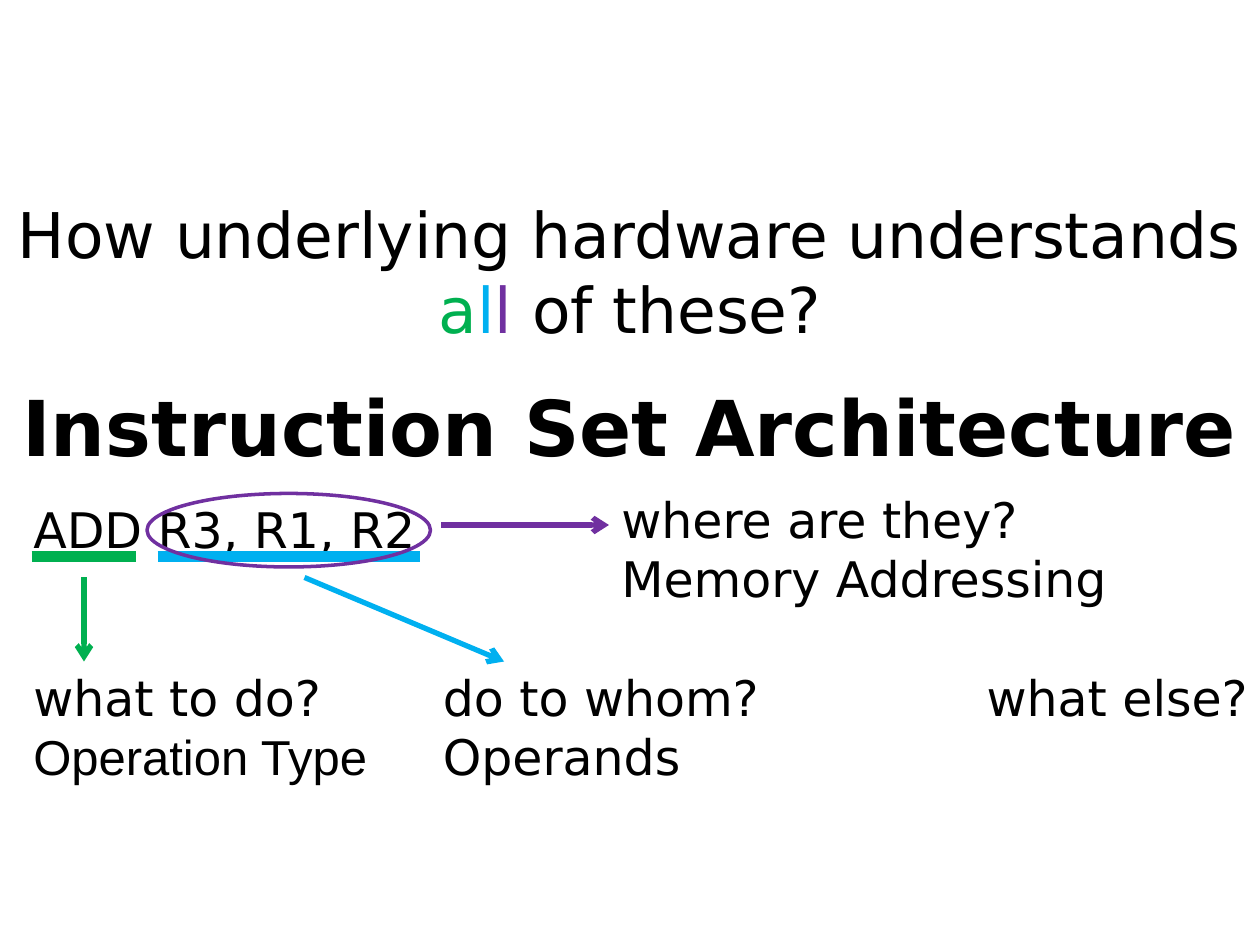
import pptx
import pptx.util
import pptx.dml.color
import pptx.enum.shapes
import pptx.enum.text
import pptx.oxml
import pptx.oxml.ns

COLS, ROWS = 120, 90
WIDE, HIGH = pptx.util.Inches(10), pptx.util.Inches(7.5)
FONT, BLACK = "DejaVu Sans", "000000"
GREEN, BLUE, PURPLE = "00B050", "00B0F0", "7030A0"
ALIGN = pptx.enum.text.PP_ALIGN

TITLE = ("Instruction Set Architecture", (0, 28, 120, 25))
NOTES = [
    ((2, 47, 40, 7), 28, ALIGN.LEFT, [[("ADD R3, R1, R2", BLACK, FONT)]]),
    ((2, 63, 40, 18), 28, ALIGN.LEFT,
     [[("what to do?", BLACK, FONT)], [("Operation Type", BLACK, "Arial")]]),
    ((41, 63, 40, 12.5), 28, ALIGN.LEFT,
     [[("do to whom?", BLACK, FONT)], [("Operands", BLACK, FONT)]]),
    ((80, 63, 40, 7), 28, ALIGN.RIGHT, [[("what else?", BLACK, FONT)]]),
    ((58, 46, 53, 12.5), 28, ALIGN.LEFT,
     [[("where are they?", BLACK, FONT)], [("Memory Addressing", BLACK, FONT)]]),
    ((0, 18, 120, 15.6), 36, ALIGN.CENTER,
     [[("How underlying hardware understands", BLACK, FONT)],
      [("a", GREEN, FONT), ("l", BLUE, FONT), ("l", PURPLE, FONT),
       (" of these?", BLACK, FONT)]]),
]
BARS = [((3, 53, 13, 53), GREEN), ((15, 53, 40, 53), BLUE)]
ARROWS = [((8, 55, 8, 63), GREEN), ((29, 55, 48, 63), BLUE), ((42, 50, 58, 50), PURPLE)]
RING = (14, 47, 27, 7)


def place(cells):
    """Turn grid columns and rows into slide lengths."""
    units = (WIDE / COLS, HIGH / ROWS) * 2
    return [round(cell * unit) for cell, unit in zip(cells, units)]


def tint(hue):
    """Return the colour for a hex string."""
    return pptx.dml.color.RGBColor.from_string(hue)


def style(run, size, hue, face, bold=False):
    """Format one run of text."""
    run.font.size = pptx.util.Pt(size)
    run.font.name = face
    run.font.bold = bold
    run.font.color.rgb = tint(hue)


def head(slide):
    """Fill and place the title."""
    text, cells = TITLE
    title = slide.shapes.title
    title.left, title.top, title.width, title.height = place(cells)
    frame = title.text_frame
    frame.text = text
    frame.word_wrap = True
    frame.vertical_anchor = pptx.enum.text.MSO_ANCHOR.MIDDLE
    frame.margin_left = frame.margin_right = frame.margin_top = frame.margin_bottom = 0
    frame.paragraphs[0].alignment = ALIGN.CENTER
    style(frame.paragraphs[0].runs[0], 44, BLACK, FONT, True)


def note(slide, cells, size, align, lines):
    """Add a text box with one paragraph a line."""
    frame = slide.shapes.add_textbox(*place(cells)).text_frame
    frame.word_wrap = True
    frame.auto_size = pptx.enum.text.MSO_AUTO_SIZE.SHAPE_TO_FIT_TEXT
    for i, line in enumerate(lines):
        para = frame.add_paragraph() if i else frame.paragraphs[0]
        para.alignment = align
        for text, hue, face in line:
            run = para.add_run()
            run.text = text
            style(run, size, hue, face)


def stroke(slide, cells, hue, width, tip=False):
    """Draw a straight line, with an arrowhead if asked."""
    kind = pptx.enum.shapes.MSO_CONNECTOR.STRAIGHT
    link = slide.shapes.add_connector(kind, *place(cells))
    link.line.color.rgb = tint(hue)
    link.line.width = pptx.util.Pt(width)
    props = link._element.spPr
    if tip:
        end = pptx.oxml.parse_xml(
            f'<a:tailEnd {pptx.oxml.ns.nsdecls("a")} type="arrow"/>')
        link.line._get_or_add_ln().append(end)
    props.append(pptx.oxml.parse_xml(f'<a:effectLst {pptx.oxml.ns.nsdecls("a")}/>'))


def ring(slide):
    """Circle the registers."""
    oval = slide.shapes.add_shape(pptx.enum.shapes.MSO_SHAPE.OVAL, *place(RING))
    oval.shadow.inherit = False
    oval.fill.background()
    oval.line.color.rgb = tint(PURPLE)
    oval.line.width = pptx.util.Pt(2)


def main():
    """Build and save the slide."""
    deck = pptx.Presentation()
    deck.slide_width, deck.slide_height = WIDE, HIGH
    slide = deck.slides.add_slide(deck.slide_layouts[5])
    head(slide)
    for item in NOTES:
        note(slide, *item)
    for cells, hue in BARS:
        stroke(slide, cells, hue, 6)
    for cells, hue in ARROWS:
        stroke(slide, cells, hue, 3, True)
    ring(slide)
    deck.save("out.pptx")


if __name__ == "__main__":
    main()
